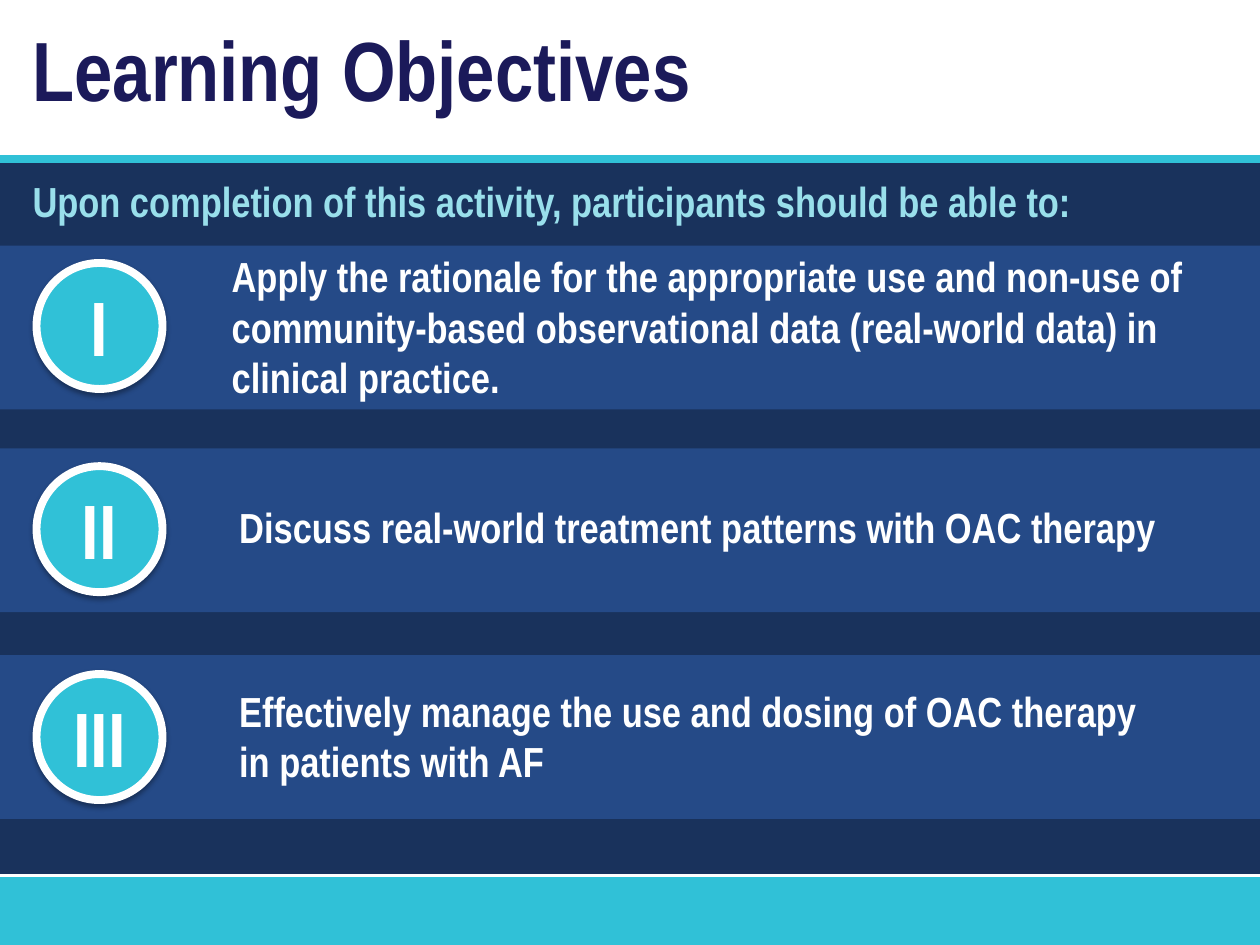
from dataclasses import dataclass

from lxml.etree import SubElement
from pptx import Presentation
from pptx.dml.color import RGBColor
from pptx.enum.shapes import MSO_CONNECTOR, MSO_SHAPE
from pptx.enum.text import MSO_ANCHOR, MSO_AUTO_SIZE, PP_ALIGN
from pptx.oxml.ns import qn
from pptx.util import Pt


@dataclass(frozen=True)
class Theme:
    font: str = "Arial Narrow"
    navy: str = "19325C"
    blue: str = "254A87"
    teal: str = "30C1D7"
    pale: str = "99DFEB"
    ink: str = "1B1A5A"
    white: str = "FFFFFF"
    shadow: str = "000000"
    title_size: int = 48
    numeral_size: int = 44
    body_size: int = 24


THEME = Theme()
PAGE_WIDTH, PAGE_HEIGHT = 720, 540
BAND_HEIGHT = 93.6
BADGE_LEFT, BADGE_SIZE = 20.9, 72

# numeral, wording, band top, badge top, text box (left, top, width, height)
OBJECTIVES = [
    ("I", "Apply the rationale for the appropriate use and non-use of "
          "community-based observational data (real-world data) in clinical practice.",
     140.4, 150.3, (125.3, 139.7, 569.5, 94.3)),
    ("II", "Discuss real-world treatment patterns with OAC therapy",
     256.3, 266.4, (129.6, 283, 550.8, 36)),
    ("III", "Effectively manage the use and dosing of OAC therapy in patients with AF",
     374.4, 385.2, (129.6, 388.1, 530.6, 65.5)),
]


def add_shadow(shape):
    effects = SubElement(shape._element.spPr, qn("a:effectLst"))
    outer = SubElement(effects, qn("a:outerShdw"), blurRad=str(Pt(3.1)),
                       dist=str(Pt(1.8)), dir="5400000", rotWithShape="0")
    color = SubElement(outer, qn("a:srgbClr"), val=THEME.shadow)
    SubElement(color, qn("a:alpha"), val="35000")


def add_block(page, kind, box, fill, border=None, shadow=False):
    shape = page.shapes.add_shape(kind, *map(Pt, box))
    shape.fill.solid()
    shape.fill.fore_color.rgb = RGBColor.from_string(fill)
    if border:
        shape.line.color.rgb = RGBColor.from_string(border)
        shape.line.width = Pt(4.5)
    else:
        shape.line.fill.background()
    if shadow:
        add_shadow(shape)
    else:
        shape.shadow.inherit = False
    return shape


def add_rule(page, top, color, width):
    rule = page.shapes.add_connector(MSO_CONNECTOR.STRAIGHT, 0, Pt(top), Pt(PAGE_WIDTH), Pt(top))
    rule.line.color.rgb = RGBColor.from_string(color)
    rule.line.width = Pt(width)
    SubElement(rule._element.spPr, qn("a:effectLst"))


def write(frame, text, size, color, align=PP_ALIGN.LEFT):
    para = frame.paragraphs[0]
    para.alignment = align
    span = para.add_run()
    span.text = text
    style = {"name": THEME.font, "size": Pt(size), "bold": True}
    for name, value in style.items():
        setattr(span.font, name, value)
    span.font.color.rgb = RGBColor.from_string(color)


def add_text(page, box, text, size, color, auto_size=MSO_AUTO_SIZE.SHAPE_TO_FIT_TEXT):
    frame = page.shapes.add_textbox(*map(Pt, box)).text_frame
    frame.word_wrap = True
    frame.auto_size = auto_size
    write(frame, text, size, color)


def add_backdrop(page, box):
    left, top, width, height = box
    footer_top = 501.1
    add_block(page, MSO_SHAPE.RECTANGLE, (left, top, width, footer_top - top), THEME.navy)
    add_block(page, MSO_SHAPE.RECTANGLE,
              (left, footer_top, width, top + height - footer_top), THEME.teal, shadow=True)
    add_rule(page, top, THEME.teal, 4.5)
    add_rule(page, 500.4, THEME.white, 1.5)


def add_objective(page, box, numeral, text, badge_top, text_box):
    add_block(page, MSO_SHAPE.RECTANGLE, box, THEME.blue)
    badge = add_block(page, MSO_SHAPE.FLOWCHART_CONNECTOR,
                      (box[0] + BADGE_LEFT, badge_top, BADGE_SIZE, BADGE_SIZE),
                      THEME.teal, THEME.white, shadow=True)
    badge.text_frame.vertical_anchor = MSO_ANCHOR.MIDDLE
    badge.text_frame.word_wrap = False
    write(badge.text_frame, numeral, THEME.numeral_size, THEME.white, PP_ALIGN.CENTER)
    add_text(page, text_box, text, THEME.body_size, THEME.white)


def add_headings(page, box):
    left, top, width, height = box
    add_text(page, (left, top, 635, 65.5), "Learning Objectives", THEME.title_size, THEME.ink)
    lead_height = 43.2
    add_text(page, (left, top + height - lead_height, width, lead_height),
             "Upon completion of this activity, participants should be able to:",
             THEME.body_size, THEME.pale, MSO_AUTO_SIZE.NONE)


def main():
    deck = Presentation()
    deck.slide_width, deck.slide_height = Pt(PAGE_WIDTH), Pt(PAGE_HEIGHT)
    page = deck.slides.add_slide(deck.slide_layouts[6])

    # Background bands and rules
    add_backdrop(page, (0, 90.7, PAGE_WIDTH, PAGE_HEIGHT - 90.7))

    # Numbered objectives
    for numeral, text, top, badge_top, text_box in OBJECTIVES:
        add_objective(page, (0, top, PAGE_WIDTH, BAND_HEIGHT), numeral, text, badge_top, text_box)

    # Title and lead-in
    add_headings(page, (11.5, 6.5, 683.3, 133.2))

    deck.save("out.pptx")


if __name__ == "__main__":
    main()
